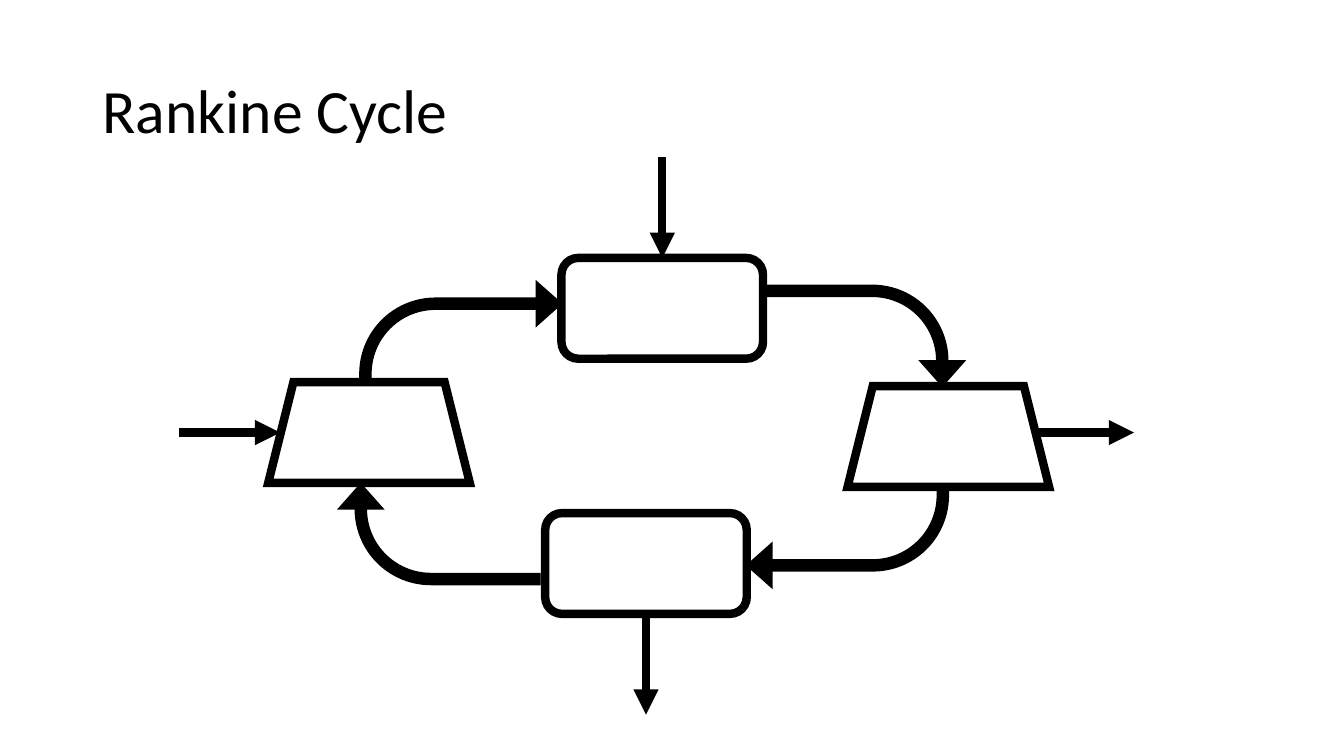
from lxml import etree
from pptx import Presentation
from pptx import util as u
from pptx.dml.color import RGBColor
from pptx.enum import shapes, text
from pptx.oxml.ns import qn

COLOURS = {"ink": "000000", "paper": "FFFFFF"}
FONT = "Calibri"
LONG, SHORT = 5.08, 2.54
EQUIPMENT_LINE, FLOW_LINE = 6, 1
BEND = (0.11, 0.222, 0.25, 0.75)


def colour(name):
    return RGBColor.from_string(COLOURS[name])


def set_line(shape, width):
    shape.line.color.rgb = colour("ink")
    shape.line.width = u.Pt(width)
    line = shape.line._get_or_add_ln()
    etree.SubElement(line, qn("a:miter"), lim="800000")
    return line


def add_title(slide, words):
    title = slide.shapes.title
    title.left, title.top = u.Cm(2.33), u.Cm(1.01)
    title.width, title.height = u.Cm(29.21), u.Cm(3.68)
    title.text_frame.vertical_anchor = text.MSO_ANCHOR.MIDDLE
    paragraph = title.text_frame.paragraphs[0]
    paragraph.alignment = text.PP_ALIGN.LEFT
    paragraph.line_spacing = 0.9
    run = paragraph.add_run()
    run.text = words
    run.font.name = FONT
    run.font.size = u.Pt(44)
    run.font.color.rgb = colour("ink")


def add_block(slide, kind, left, top, width, height, fill, line_width):
    shape = slide.shapes.add_shape(
        kind, u.Cm(left), u.Cm(top), u.Cm(width), u.Cm(height))
    shape.shadow.inherit = False
    shape.fill.solid()
    shape.fill.fore_color.rgb = colour(fill)
    set_line(shape, line_width)
    return shape


def add_equipment(slide, kind, left, top):
    add_block(slide, kind, left, top, LONG, SHORT, "paper", EQUIPMENT_LINE)


def add_flow(slide, left, top, rotation):
    upright = rotation in (90, 270)
    width, height = (SHORT, LONG) if upright else (LONG, SHORT)
    arrow = add_block(slide, shapes.MSO_SHAPE.BENT_ARROW,
                      left, top, width, height, "ink", FLOW_LINE)
    for index, value in enumerate(BEND):
        arrow.adjustments[index] = value
    arrow.rotation = rotation


def add_energy_arrow(slide, left, top, across, down):
    arrow = slide.shapes.add_connector(
        shapes.MSO_CONNECTOR.STRAIGHT, u.Cm(left), u.Cm(top),
        u.Cm(left + across), u.Cm(top + down))
    line = set_line(arrow, EQUIPMENT_LINE)
    etree.SubElement(line, qn("a:tailEnd"), type="triangle")
    etree.SubElement(arrow._element.spPr, qn("a:effectLst"))


def main():
    presentation = Presentation()
    presentation.slide_width = u.Cm(33.87)
    presentation.slide_height = u.Cm(19.05)
    slide = presentation.slides.add_slide(presentation.slide_layouts[5])
    add_title(slide, "Rankine Cycle")

    trapezoid = shapes.MSO_SHAPE.TRAPEZOID
    rounded = shapes.MSO_SHAPE.ROUNDED_RECTANGLE

    add_equipment(slide, trapezoid, 21.36, 9.73)
    add_energy_arrow(slide, 26.04, 10.9, SHORT, 0)
    add_flow(slide, 20.5, 5.92, 90)
    add_flow(slide, 18.82, 12.27, 180)
    add_equipment(slide, rounded, 13.74, 12.93)
    add_equipment(slide, rounded, 14.15, 6.5)
    add_equipment(slide, trapezoid, 6.76, 9.63)
    add_flow(slide, 9.07, 7.09, 0)
    add_flow(slide, 9.8, 10.92, 270)
    add_energy_arrow(slide, 4.52, 10.9, SHORT, 0)
    add_energy_arrow(slide, 16.69, 3.96, 0, SHORT)
    add_energy_arrow(slide, 16.28, 15.47, 0, SHORT)

    presentation.save("out.pptx")


if __name__ == "__main__":
    main()
